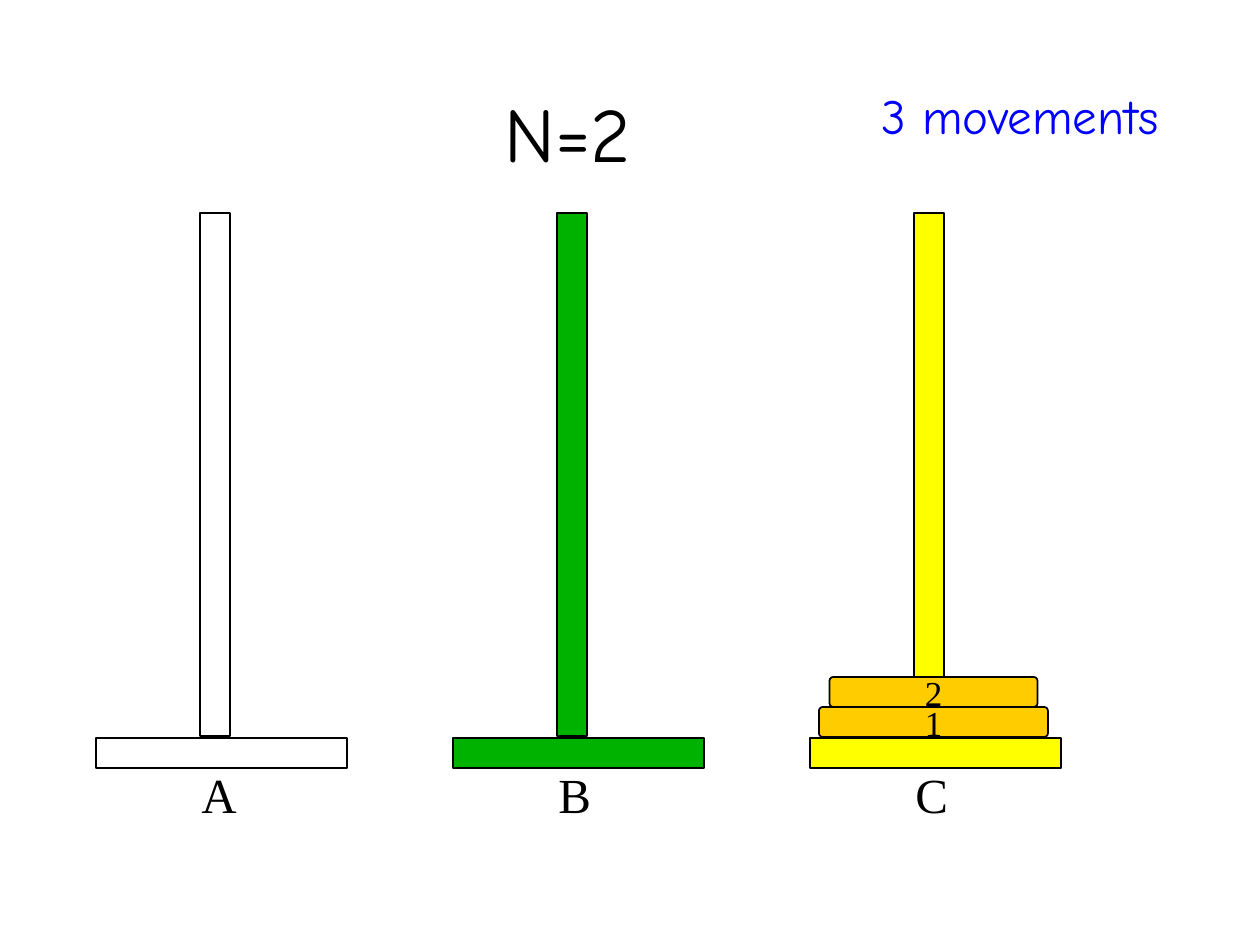
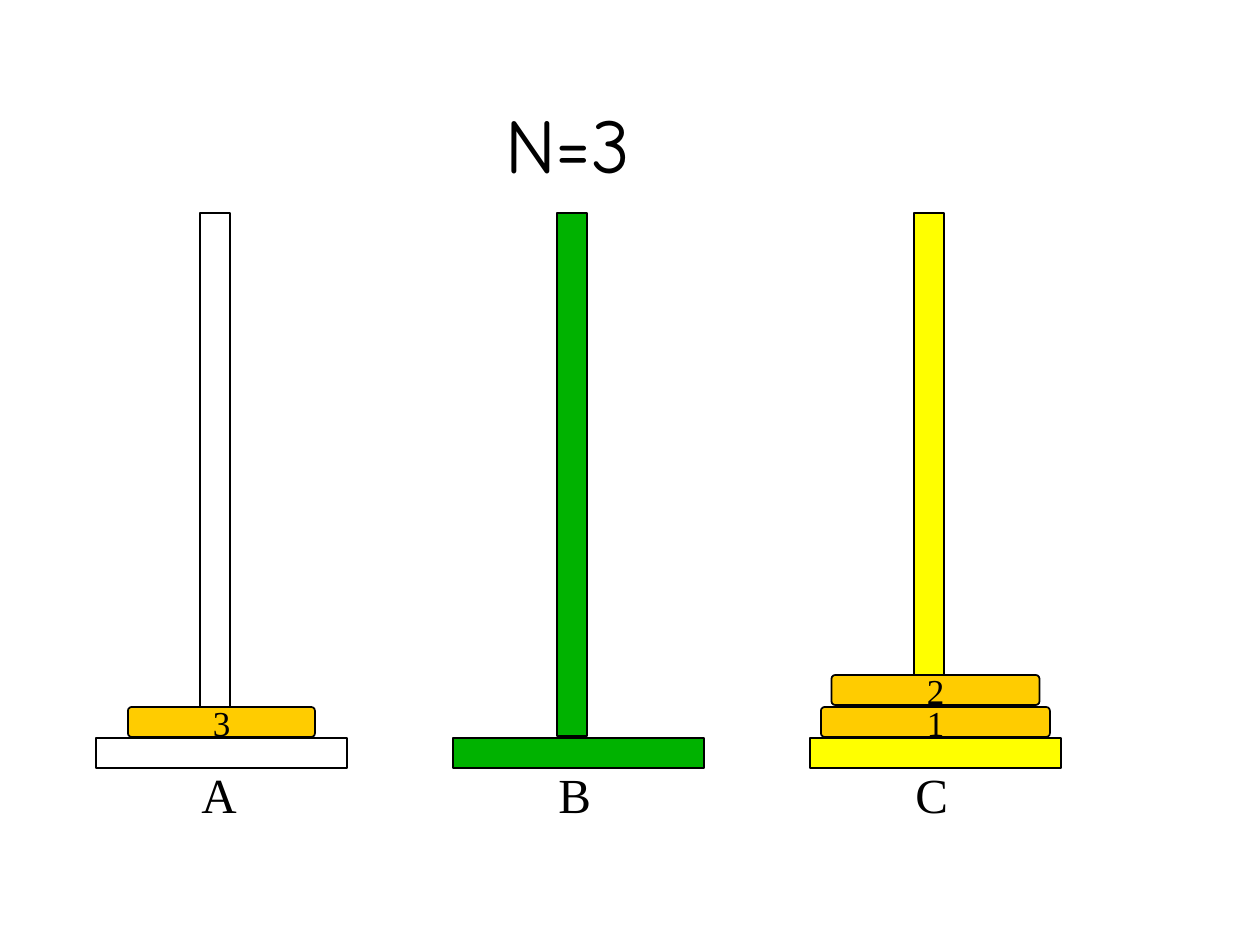
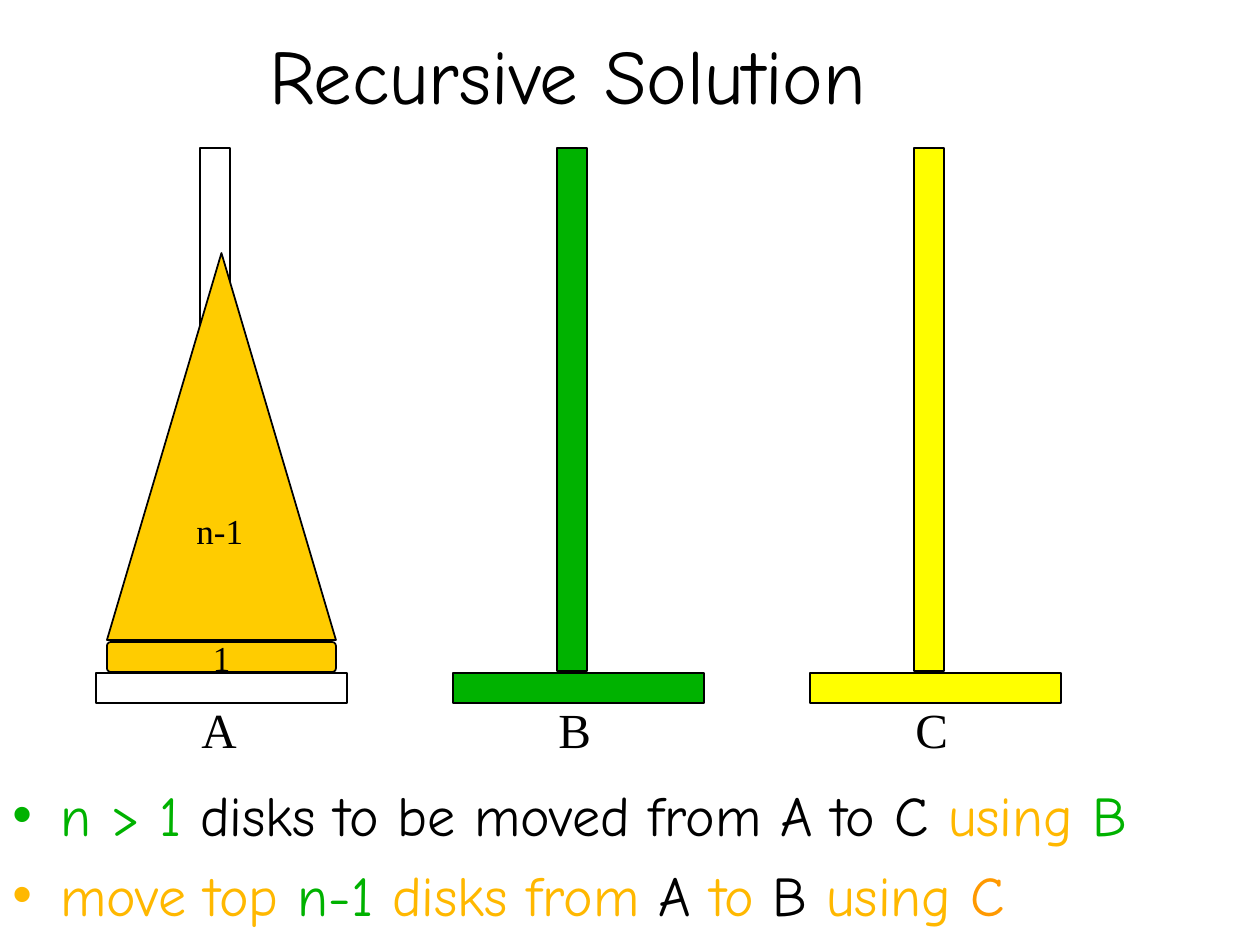
from lxml import etree
from pptx import Presentation
from pptx.dml.color import RGBColor
from pptx.enum.shapes import MSO_SHAPE
from pptx.enum.text import MSO_ANCHOR, MSO_AUTO_SIZE, PP_ALIGN
from pptx.oxml.ns import qn
from pptx.util import Emu, Pt

RECT, ROUND = MSO_SHAPE.RECTANGLE, MSO_SHAPE.ROUNDED_RECTANGLE
TRIANGLE = MSO_SHAPE.ISOSCELES_TRIANGLE
BOTTOM, CENTER, NO_FIT = MSO_ANCHOR.BOTTOM, PP_ALIGN.CENTER, MSO_AUTO_SIZE.NONE

COLORS = {"black": "000000", "white": "FFFFFF", "green": "00B200", "yellow": "FFFF00",
          "disk": "FFCC00", "blue": "0000FF", "amber": "FFB800", "orange": "FF9900"}
SANS, SERIF = "Comic Neue", "Times New Roman"

# Content: each disk is (number, peg, level above the base)
PEGS = [("A", "white"), ("B", "green"), ("C", "yellow")]
SLIDES = [
    {"title": "N=2", "title_h": 163, "base_y": 738, "disk_step": 30, "disk_dx": -2,
     "disks": [(1, 2, 0), (2, 2, 1)], "note": "3 movements"},
    {"title": "N=3", "title_h": 174, "base_y": 738, "disk_step": 32, "disk_dx": 0,
     "disks": [(1, 2, 0), (2, 2, 1), (3, 0, 0)]},
    {"title": "Recursive Solution", "title_h": 105, "base_y": 673, "disk_step": 30,
     "disk_dx": 0, "disks": [(1, 0, 0)], "pile": "n-1",
     "steps": [
         [("n > 1", "green"), (" disks to be moved from A to C ", "black"),
          ("using ", "amber"), ("B", "green")],
         [("move top ", "amber"), ("n-1 ", "green"), ("disks from ", "amber"),
          ("A ", "black"), ("to ", "amber"), ("B", "black"),
          (" using ", "amber"), ("C", "orange")]]},
]

# Geometry in px
SLIDE_W, SLIDE_H = 1260, 945
PEG_X, PEG_STEP = 96, 357
BASE_W, BAR = 251, 30
POLE_DX, POLE_H = 104, 523
DISK_W, DISK_SHRINK = 229, 21
PILE_H = 387


def px(n):
    return Emu(round(n * 914400 / 126))


def rgb(name):
    return RGBColor.from_string(COLORS[name])


def add_run(p, text, size, font, color):
    r = p.add_run()
    r.text = text
    r.font.size, r.font.name = Pt(size), font
    r.font.color.rgb = rgb(color)


def add_block(s, kind, x, y, w, h, color):
    sp = s.shapes.add_shape(kind, px(x), px(y), px(w), px(h))
    sp.shadow.inherit = False
    sp.fill.solid()
    sp.fill.fore_color.rgb = rgb(color)
    sp.line.color.rgb = rgb("black")
    sp.line.width = Pt(1)
    return sp


def add_box(s, x, y, w, h):
    tf = s.shapes.add_textbox(px(x), px(y), px(w), px(h)).text_frame
    tf.word_wrap = True
    return tf


def add_label(s, text, x, y, w, h, size, font=SERIF, color="black"):
    add_run(add_box(s, x, y, w, h).paragraphs[0], text, size, font, color)


def add_title(s, text, h):
    sp = s.shapes.title
    sp.left, sp.top, sp.width, sp.height = px(95), px(21), px(946), px(h)
    tf = sp.text_frame
    tf.auto_size, tf.vertical_anchor = NO_FIT, BOTTOM
    p = tf.paragraphs[0]
    p.alignment = CENTER
    add_run(p, text, 44, SANS, "black")


def add_peg(s, i, base_y):
    name, color = PEGS[i]
    x = PEG_X + i * PEG_STEP
    add_block(s, RECT, x, base_y, BASE_W, BAR, color)
    add_block(s, RECT, x + POLE_DX, base_y - POLE_H - 2, BAR, POLE_H, color)
    add_label(s, name, x + 93, base_y + 20, 126, 72, 28)


def add_disk(s, number, peg, level, page):
    w = DISK_W - DISK_SHRINK * (number - 1)
    middle = PEG_X + peg * PEG_STEP + BASE_W / 2 + page["disk_dx"]
    y = page["base_y"] - BAR - 1 - level * page["disk_step"]
    sp = add_block(s, ROUND, middle - w / 2, y, w, BAR, "disk")
    sp.adjustments[0] = 0.125
    add_label(s, str(number), middle - 21, y - 12, 94, 54, 20)


def add_pile(s, text, base_y):
    y = base_y - BAR - 3 - PILE_H
    add_block(s, TRIANGLE, PEG_X + (BASE_W - DISK_W) / 2, y, DISK_W, PILE_H, "disk")
    add_label(s, text, PEG_X + 88, y + 250, 94, 54, 20)


def add_bullet(p, color):
    pPr = p._p.get_or_add_pPr()
    pPr.set("marL", str(px(48)))
    pPr.set("indent", str(-px(48)))
    clr = etree.SubElement(pPr, qn("a:buClr"))
    etree.SubElement(clr, qn("a:srgbClr"), val=COLORS[color])
    etree.SubElement(pPr, qn("a:buFont"), typeface="Arial")
    etree.SubElement(pPr, qn("a:buChar"), char="•")


def add_steps(s, steps):
    tf = add_box(s, 0, 774, 1250, 77)
    for i, runs in enumerate(steps):
        p = tf.add_paragraph() if i else tf.paragraphs[0]
        add_bullet(p, runs[0][1])
        if i:
            p.space_before = Pt(7.5)
        for text, color in runs:
            add_run(p, text, 32, SANS, color)


def main():
    prs = Presentation()
    prs.slide_width, prs.slide_height = px(SLIDE_W), px(SLIDE_H)
    for page in SLIDES:
        s = prs.slides.add_slide(prs.slide_layouts[5])
        add_title(s, page["title"], page["title_h"])
        for i in range(len(PEGS)):
            add_peg(s, i, page["base_y"])
        for number, peg, level in page["disks"]:
            add_disk(s, number, peg, level, page)
        if "note" in page:
            add_label(s, page["note"], 869, 79, 357, 72, 28, SANS, "blue")
        if "pile" in page:
            add_pile(s, page["pile"], page["base_y"])
        if "steps" in page:
            add_steps(s, page["steps"])
    prs.save("out.pptx")


if __name__ == "__main__":
    main()
